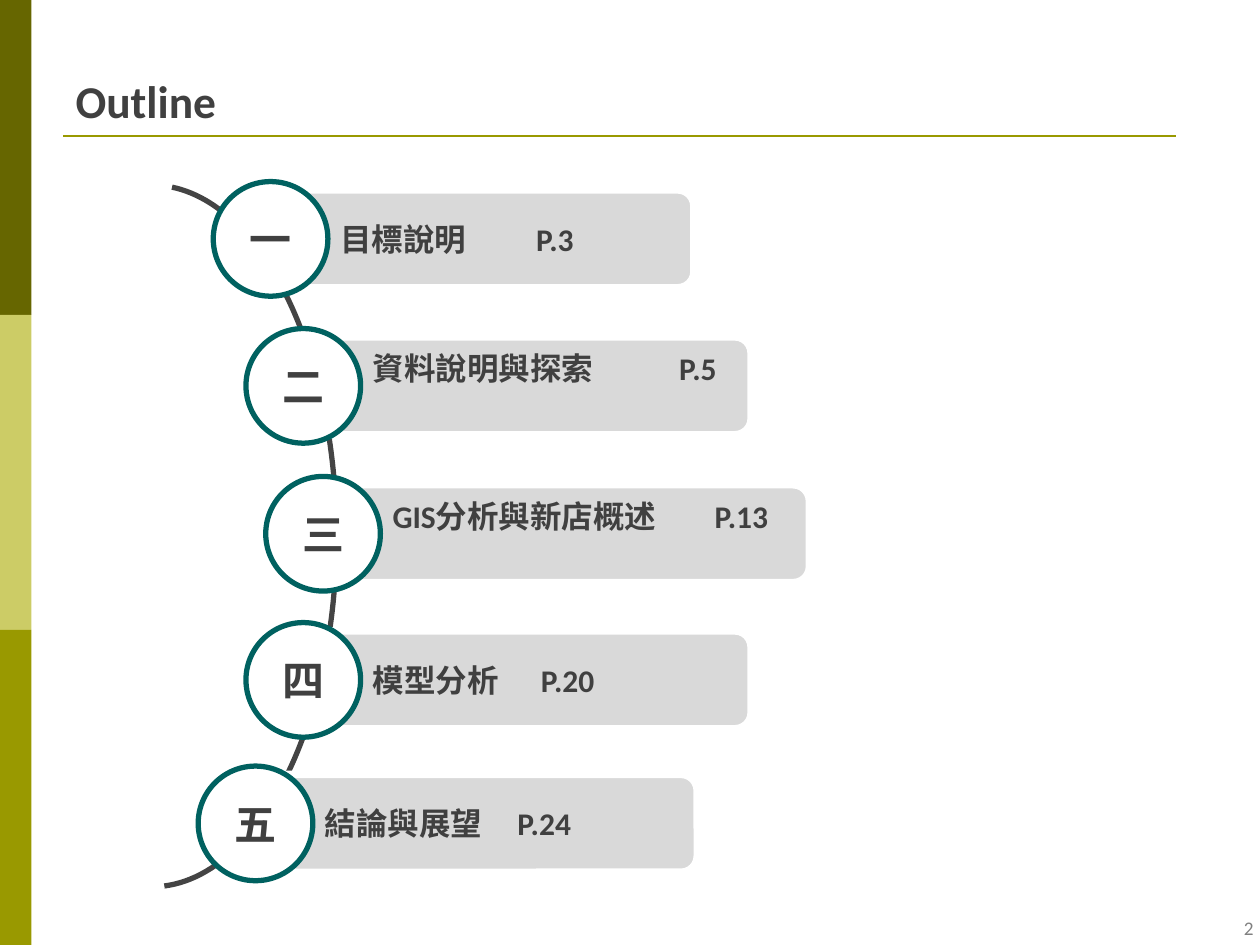
from dataclasses import dataclass

from lxml import etree
from pptx import Presentation
from pptx.dml.color import RGBColor
from pptx.enum import shapes, text
from pptx.oxml import ns
from pptx.util import Pt

OLIVE = RGBColor(0x99, 0x99, 0x00)
DARK_OLIVE = RGBColor(0x66, 0x66, 0x00)
PALE_OLIVE = RGBColor(0xCC, 0xCC, 0x66)
TEAL = RGBColor(0x00, 0x61, 0x60)
INK = RGBColor(0x40, 0x40, 0x40)
ARC_GRAY = RGBColor(0x44, 0x44, 0x44)
BAR_GRAY = RGBColor(0xD9, 0xD9, 0xD9)
NUMBER_GRAY = RGBColor(0x80, 0x80, 0x80)
WHITE = RGBColor(0xFF, 0xFF, 0xFF)

FONT = "Calibri"
BAR_H = 56
CIRCLE_D = 65.5
CIRCLE_SHIFT = 6  # circle centre lies this far left of its bar
TEXT_INSET = 31


@dataclass
class Section:
    numeral: str
    title: str
    page: str
    left: float
    middle: float
    width: float
    tab: float  # page number position, from the start of the text
    raise_by: float = 0  # how far the text sits above the bar's middle


SECTIONS = [
    Section("一", "目標說明", "P.3", 160.6, 136.5, 236, 112),
    Section("二", "資料說明與探索", "P.5", 179.3, 220.5, 250, 175, 10),
    Section("三", "GIS分析與新店概述", "P.13", 190.6, 305, 272, 184, 10),
    Section("四", "模型分析", "P.20", 179.3, 388.5, 250, 96),
    Section("五", "結論與展望", "P.24", 152, 470.5, 246.5, 110),
]


def add_shape(s, kind, left: float, top: float, width: float, height: float,
              fill: RGBColor | None, line: RGBColor | None = None, weight: float = 0):
    sp = s.shapes.add_shape(kind, Pt(left), Pt(top), Pt(width), Pt(height))
    sp.shadow.inherit = False
    if fill is None:
        sp.fill.background()
    else:
        sp.fill.solid()
        sp.fill.fore_color.rgb = fill
    if line is None:
        sp.line.fill.background()
    else:
        sp.line.color.rgb = line
        sp.line.width = Pt(weight)
    return sp


def set_font(p, size: float, color: RGBColor, bold: bool = True) -> None:
    p.font.name = FONT
    p.font.size = Pt(size)
    p.font.bold = bold
    p.font.color.rgb = color


def write(sp, words: str, size: float, align, anchor=text.MSO_ANCHOR.MIDDLE,
          color: RGBColor = INK, bold: bool = True, tab: float | None = None) -> None:
    tf = sp.text_frame
    tf.word_wrap = True
    tf.vertical_anchor = anchor
    tf.text = words
    p = tf.paragraphs[0]
    p.alignment = align
    if tab is not None:
        tabs = etree.SubElement(p._p.get_or_add_pPr(), ns.qn("a:tabLst"))
        etree.SubElement(tabs, ns.qn("a:tab"), pos=str(Pt(tab)), algn="l")
    set_font(p, size, color, bold)


def add_section(s, sec: Section) -> None:
    bar = add_shape(s, shapes.MSO_SHAPE.ROUNDED_RECTANGLE, sec.left, sec.middle - BAR_H / 2,
                    sec.width, BAR_H, BAR_GRAY, WHITE, 4.33)
    tf = bar.text_frame
    tf.margin_left = Pt(TEXT_INSET)
    tf.margin_right = tf.margin_top = 0
    tf.margin_bottom = Pt(2 * sec.raise_by)
    write(bar, f"{sec.title}\t{sec.page}", 18, text.PP_ALIGN.LEFT, tab=sec.tab)

    radius = CIRCLE_D / 2
    circle = add_shape(s, shapes.MSO_SHAPE.OVAL, sec.left - CIRCLE_SHIFT - radius,
                       sec.middle - radius, CIRCLE_D, CIRCLE_D, WHITE, TEAL, 3)
    write(circle, sec.numeral, 24, text.PP_ALIGN.CENTER)


def main() -> None:
    prs = Presentation()
    prs.slide_width, prs.slide_height = Pt(720), Pt(540)
    s = prs.slides.add_slide(prs.slide_layouts[5])

    # Side band
    for i, color in enumerate((DARK_OLIVE, PALE_OLIVE, OLIVE)):
        add_shape(s, shapes.MSO_SHAPE.RECTANGLE, 0, 180 * i, 18, 180, color)

    # Title and rule
    title = s.shapes.title
    title.left, title.top, title.width, title.height = Pt(36), Pt(28.8), Pt(648), Pt(47.5)
    write(title, "Outline", 26, text.PP_ALIGN.LEFT, text.MSO_ANCHOR.BOTTOM)
    rule = s.shapes.add_connector(shapes.MSO_CONNECTOR.STRAIGHT,
                                  Pt(36), Pt(77.8), Pt(672), Pt(77.8))
    rule.line.color.rgb = OLIVE
    rule.line.width = Pt(1.5)
    etree.SubElement(rule._element.spPr, ns.qn("a:effectLst"))

    # Arc behind the sections
    arc = add_shape(s, shapes.MSO_SHAPE.ARC, -18.7, 105.8, 211, 401, None, ARC_GRAY, 3)
    arc.adjustments[0] = 163.99
    arc.adjustments[1] = 52.77

    # Sections
    for sec in SECTIONS:
        add_section(s, sec)

    # Slide number
    number = s.shapes.add_textbox(Pt(672), Pt(520), Pt(48), Pt(20))
    number.text_frame.margin_right = Pt(7.2)
    write(number, "2", 11, text.PP_ALIGN.RIGHT, color=NUMBER_GRAY, bold=False)
    number.text_frame.margin_right = Pt(3.6)

    prs.save("out.pptx")


if __name__ == "__main__":
    main()
